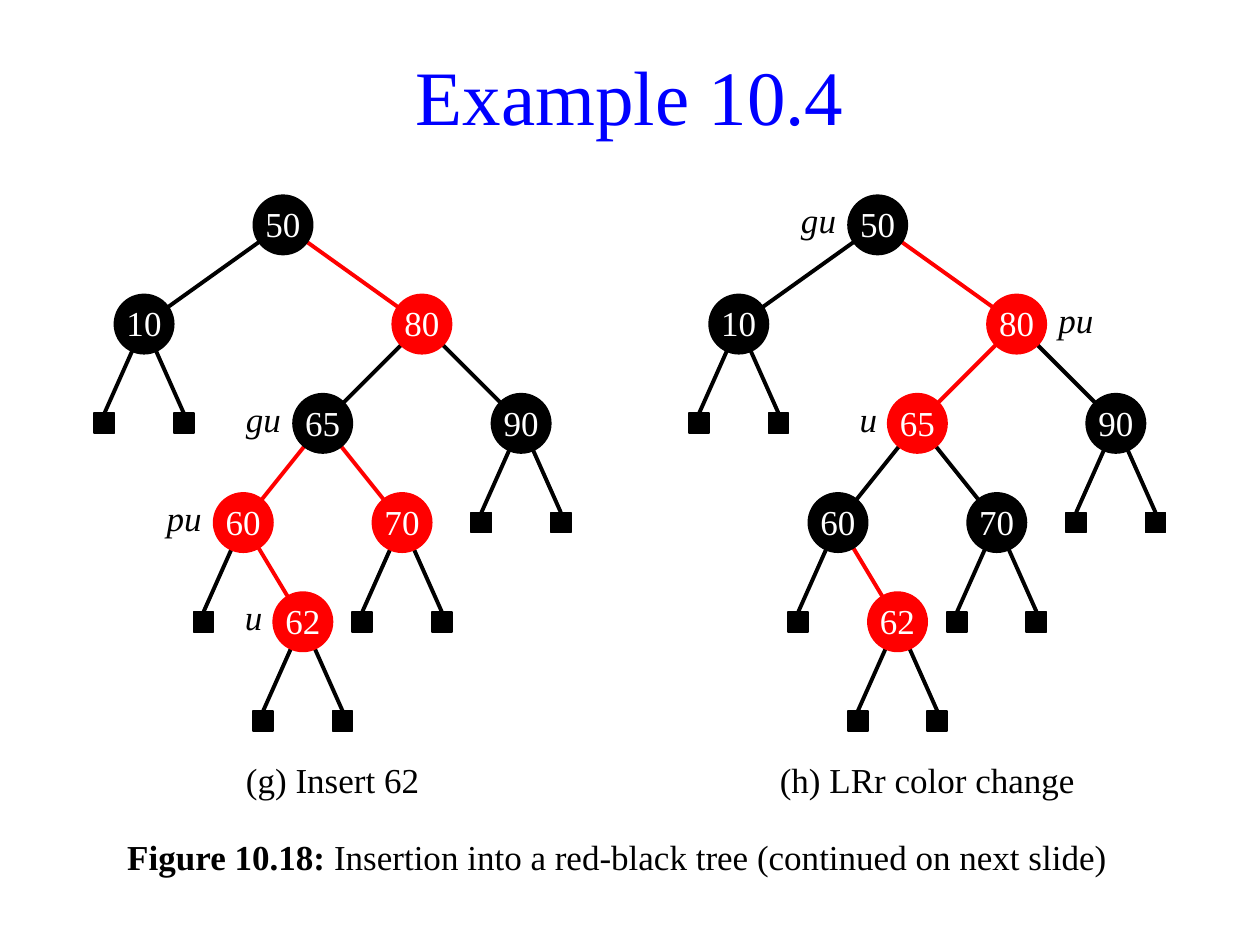
import pptx
import pptx.util
import pptx.dml.color
import pptx.enum.shapes
import pptx.enum.text
import pptx.oxml.ns
import lxml.etree

Inches, Pt = pptx.util.Inches, pptx.util.Pt
SHAPE = pptx.enum.shapes.MSO_SHAPE
ALIGN = pptx.enum.text.PP_ALIGN
ANCHOR = pptx.enum.text.MSO_ANCHOR

FONT = "Times New Roman"
HUES = {"black": "000000", "red": "FF0000", "blue": "0000FF", "white": "FFFFFF"}
NODE, LEAF = 0.47, 0.16
COL = 0.63 / 4   # grid column
ROW = 5 * COL    # gap between levels

# key: (column from the root, level, left child, right child)
TREE = {
    50: (0, 0, 10, 80),
    10: (-7, 1, None, None),
    80: (7, 1, 65, 90),
    65: (2, 2, 60, 70),
    90: (12, 2, None, None),
    60: (-2, 3, None, 62),
    70: (6, 3, None, None),
    62: (1, 4, None, None),
}


def rgb(name):
    return pptx.dml.color.RGBColor.from_string(HUES[name])


def style(run, hue="black", size=20, bold=False, italic=False):
    run.font.name, run.font.size = FONT, Pt(size)
    run.font.bold, run.font.italic = bold, italic
    run.font.color.rgb = rgb(hue)


def place(shape, box):
    shape.left, shape.top, shape.width, shape.height = map(Inches, box)


def set_text(shape, text, anchor, insets, **look):
    frame = shape.text_frame
    frame.text = text
    frame.word_wrap = True
    frame.vertical_anchor = anchor
    (frame.margin_left, frame.margin_top,
     frame.margin_right, frame.margin_bottom) = map(Inches, insets)
    para = frame.paragraphs[0]
    para.alignment = ALIGN.CENTER
    style(para.runs[0], **look)


def add_dot(slide, kind, x, y, size, hue):
    dot = slide.shapes.add_shape(
        kind, Inches(x - size / 2), Inches(y - size / 2), Inches(size), Inches(size))
    dot.shadow.inherit = False
    dot.fill.solid()
    dot.fill.fore_color.rgb = rgb(hue)
    dot.line.color.rgb = rgb(hue)
    dot.line.width = Pt(1)
    return dot


def add_edge(slide, start, end, hue):
    edge = slide.shapes.add_connector(
        pptx.enum.shapes.MSO_CONNECTOR.STRAIGHT, *map(Inches, start + end))
    edge.line.color.rgb = rgb(hue)
    edge.line.width = Pt(2.25)
    lxml.etree.SubElement(
        edge._element.spPr, pptx.oxml.ns.qn("a:effectLst"))
    return edge


def add_text(slide, box, text, insets, **look):
    label = slide.shapes.add_textbox(*map(Inches, box))
    set_text(label, text, ANCHOR.MIDDLE, insets, **look)


def add_title(slide, box):
    title = slide.shapes.title
    place(title, box)
    set_text(title, "Example 10.4", ANCHOR.MIDDLE, (0.1, 0.05, 0.1, 0.05),
             hue="blue", size=44)


def add_note(slide, box):
    body = slide.placeholders[1]
    place(body, box)
    frame = body.text_frame
    frame.auto_size = pptx.enum.text.MSO_AUTO_SIZE.NONE
    para = frame.paragraphs[0]
    props = para._p.get_or_add_pPr()
    props.set("marL", "0")
    props.set("indent", "0")
    lxml.etree.SubElement(props, pptx.oxml.ns.qn("a:buNone"))
    para.space_before = Pt(0)
    for text, bold in (("Figure 10.18: ", True),
                       ("Insertion into a red-black tree (continued on next slide)", False)):
        run = para.add_run()
        run.text = text
        style(run, bold=bold)


def add_tree(slide, box, reds, marks, caption, width):
    left, top, wide, high = box
    # The root stands 9.5 columns in from the left edge
    spots = {key: (left + 9.5 * COL + col * COL, top + NODE / 2 + row * ROW)
             for key, (col, row, *_) in TREE.items()}

    # Edges take the colour of the child; missing children are square leaves
    for key, (_, _, *kids) in TREE.items():
        x, y = spots[key]
        for side, kid in zip((-1, 1), kids):
            if kid:
                add_edge(slide, (x, y), spots[kid], "red" if kid in reds else "black")
            else:
                kid_x, kid_y = x + side * 2 * COL, y + ROW
                leaf = add_dot(slide, SHAPE.RECTANGLE, kid_x, kid_y, LEAF, "black")
                edge = add_edge(slide, (x, y), (kid_x, kid_y - LEAF / 2), "black")
                edge.end_connect(leaf, 0)

    # Nodes
    for key, (x, y) in spots.items():
        node = add_dot(slide, SHAPE.OVAL, x, y, NODE, "red" if key in reds else "black")
        set_text(node, str(key), ANCHOR.BOTTOM, (0, 0, 0, 0.01), hue="white")

    # Pointer names beside the nodes
    for key, (text, side) in marks.items():
        x, y = spots[key]
        size = 0.31 if len(text) == 1 else NODE
        start = x + NODE / 2 if side == "right" else x - NODE / 2 - size
        add_text(slide, (start, y - NODE / 2, size, NODE), text,
                 (0.08, 0, 0.08, 0.08), italic=True)

    # Caption, with slim side insets so that it stays on one line
    add_text(slide, (left + (wide - width) / 2, top + high - NODE, width, NODE),
             caption, (0.04, 0.05, 0.04, 0.05))


def main():
    deck = pptx.Presentation()
    deck.slide_width, deck.slide_height = Inches(10), Inches(7.5)
    slide = deck.slides.add_slide(deck.slide_layouts[1])
    add_title(slide, (0.43, 0.28, 9.14, 0.94))
    add_note(slide, (0.91, 6.58, 8.03, 0.47))
    add_tree(slide, (0.75, 1.55, 3.78, 4.87), {80, 60, 70, 62},
             {65: ("gu", "left"), 60: ("pu", "left"), 62: ("u", "left")},
             "(g) Insert 62", 1.57)
    add_tree(slide, (5.47, 1.55, 3.78, 4.87), {80, 65, 62},
             {50: ("gu", "left"), 80: ("pu", "right"), 65: ("u", "left")},
             "(h) LRr color change", 2.84)
    deck.save("out.pptx")


if __name__ == "__main__":
    main()
